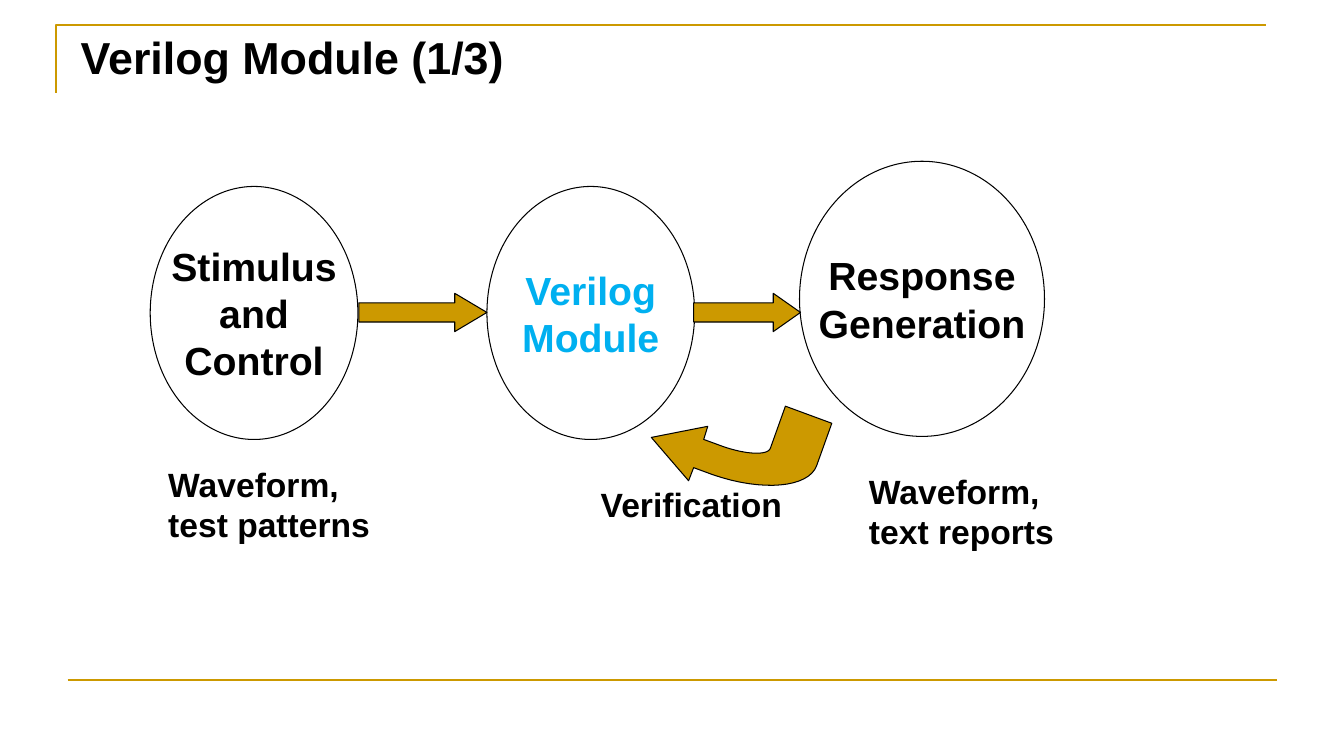
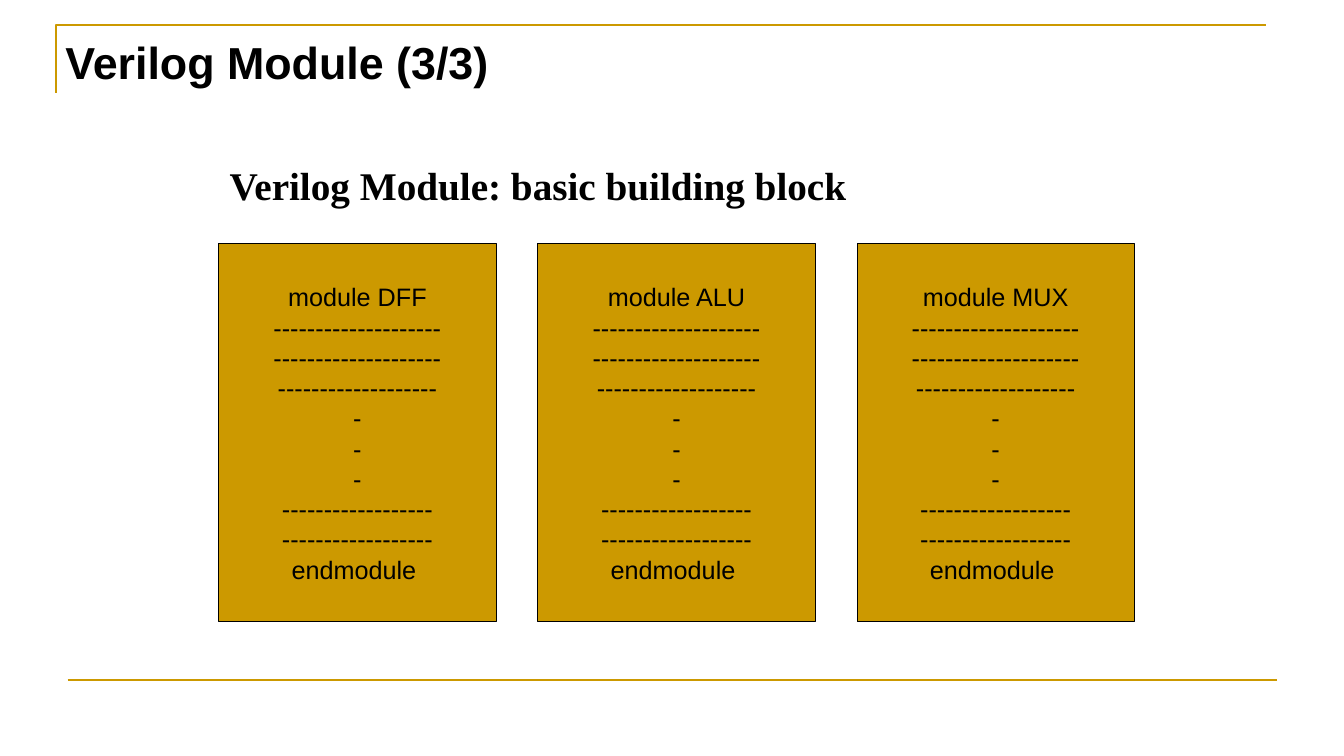
from dataclasses import dataclass

from lxml.etree import SubElement
from pptx import Presentation
from pptx.dml.color import RGBColor
from pptx.enum.shapes import MSO_CONNECTOR, MSO_SHAPE
from pptx.enum.text import MSO_ANCHOR, MSO_AUTO_SIZE, PP_ALIGN
from pptx.oxml.ns import qn
from pptx.presentation import Presentation as Deck
from pptx.shapes.autoshape import Shape
from pptx.slide import Slide
from pptx.text.text import TextFrame
from pptx.util import Inches, Pt

GOLD = "CC9900"
BLACK = "000000"
WHITE = "FFFFFF"
SKY = "00B0F0"
SANS = "Arial"
SERIF = "Times New Roman"

Point = tuple[float, float]


@dataclass(frozen=True)
class Box:
    left: float
    top: float
    width: float
    height: float

    def lengths(self) -> list[int]:
        return [Inches(value) for value in (self.left, self.top, self.width, self.height)]


@dataclass(frozen=True)
class TextStyle:
    size: int
    bold: bool = True
    color: str = BLACK
    font: str = SANS
    align: PP_ALIGN = PP_ALIGN.LEFT


@dataclass(frozen=True)
class Stage:
    box: Box
    lines: list[str]
    color: str = BLACK


@dataclass(frozen=True)
class FlowArrow:
    box: Box
    head: float


@dataclass(frozen=True)
class Label:
    box: Box
    lines: list[str]
    style: TextStyle = TextStyle(24)


STAGES = [
    Stage(Box(1.49, 1.85, 2.06, 2.51), ["Stimulus", "and", "Control"]),
    Stage(Box(4.83, 1.85, 2.06, 2.51), ["Verilog", "Module"], SKY),
    Stage(Box(7.93, 1.6, 2.43, 2.73), ["Response", "Generation"]),
]
FLOW_ARROWS = [
    FlowArrow(Box(3.56, 2.91, 1.27, 0.38), 0.84),
    FlowArrow(Box(6.88, 2.91, 1.06, 0.38), 0.71),
]
LABELS = [
    Label(Box(1.57, 4.55, 2.22, 0.91), ["Waveform,", "test patterns"]),
    Label(Box(8.52, 4.62, 2.05, 0.91), ["Waveform,", "text reports"]),
    Label(Box(5.86, 4.75, 2.02, 0.5), ["Verification"]),
]
HEADING = Label(
    Box(2.18, 1.55, 9.15, 0.55),
    ["Verilog Module: basic building block"],
    TextStyle(28, font=SERIF),
)
MODULES = ["DFF", "ALU", "MUX"]
MODULE_BODY = ["-" * count for count in (20, 20, 19, 1, 1, 1, 18, 18)]


def rgb(color: str) -> RGBColor:
    return RGBColor.from_string(color)


def write(frame: TextFrame, lines: list[str], style: TextStyle) -> None:
    frame.text = "\n".join(lines)
    for para in frame.paragraphs:
        para.alignment = style.align
        para.font.name = style.font
        para.font.size = Pt(style.size)
        para.font.bold = style.bold
        para.font.color.rgb = rgb(style.color)


def outline(shape: Shape, fill: str | None, line: str = BLACK, weight: float = 0.75) -> None:
    shape.shadow.inherit = False
    if fill is None:
        shape.fill.background()
    else:
        shape.fill.solid()
        shape.fill.fore_color.rgb = rgb(fill)
    shape.line.color.rgb = rgb(line)
    shape.line.width = Pt(weight)


def add_preset(page: Slide, preset: MSO_SHAPE, box: Box, fill: str) -> Shape:
    shape = page.shapes.add_shape(preset, *box.lengths())
    outline(shape, fill)
    return shape


def add_captioned(page: Slide, preset: MSO_SHAPE, box: Box, fill: str,
                  lines: list[str], style: TextStyle) -> None:
    frame = add_preset(page, preset, box, fill).text_frame
    frame.word_wrap = False
    frame.vertical_anchor = MSO_ANCHOR.MIDDLE
    write(frame, lines, style)


def add_label(page: Slide, label: Label) -> None:
    frame = page.shapes.add_textbox(*label.box.lengths()).text_frame
    frame.word_wrap = True
    write(frame, label.lines, label.style)


def add_outline(page: Slide, points: list[Point], closed: bool) -> Shape:
    corners = [(Inches(x), Inches(y)) for x, y in points]
    builder = page.shapes.build_freeform(*corners[0])
    builder.add_line_segments(corners[1:], close=closed)
    return builder.convert_to_shape()


def curve(start: Point, first: Point, second: Point, end: Point, steps: int = 16) -> list[Point]:
    points = []
    for step in range(steps + 1):
        t = step / steps
        weights = ((1 - t) ** 3, 3 * t * (1 - t) ** 2, 3 * t ** 2 * (1 - t), t ** 3)
        controls = (start, first, second, end)
        points.append((
            sum(weight * x for weight, (x, _) in zip(weights, controls)),
            sum(weight * y for weight, (_, y) in zip(weights, controls)),
        ))
    return points


def add_page(deck: Deck, title: str, box: Box, anchor: MSO_ANCHOR, align: PP_ALIGN) -> Slide:
    page = deck.slides.add_slide(deck.slide_layouts[5])
    corner = add_outline(page, [(0.56, 0.92), (0.56, 0.25), (12.56, 0.25)], closed=False)
    outline(corner, None, GOLD, 1.5)
    rule = page.shapes.add_connector(
        MSO_CONNECTOR.STRAIGHT, Inches(0.67), Inches(6.75), Inches(12.67), Inches(6.75))
    rule.line.color.rgb = rgb(GOLD)
    rule.line.width = Pt(1.5)
    SubElement(rule._element.spPr, qn("a:effectLst"))

    holder = page.shapes.title
    holder.left, holder.top, holder.width, holder.height = box.lengths()
    frame = holder.text_frame
    frame.word_wrap = True
    frame.auto_size = MSO_AUTO_SIZE.NONE
    frame.vertical_anchor = anchor
    write(frame, [title], TextStyle(32, align=align))
    return page


def add_return_arrow(page: Slide) -> None:
    points = [
        (6.46, 4.34), (6.83, 4.77), (6.88, 4.64),
        *curve((7.07, 4.71), (7.56, 4.88), (8.02, 4.84), (8.1, 4.62)),
        (8.25, 4.2), (7.79, 4.03),
        *curve((7.64, 4.45), (7.61, 4.52), (7.4, 4.51), (7.17, 4.43)),
        (6.98, 4.36), (7.02, 4.23),
    ]
    outline(add_outline(page, points, closed=True), GOLD)


def build_flow_page(deck: Deck) -> None:
    page = add_page(deck, "Verilog Module (1/3)", Box(0.7, 0.24, 8.6, 1.1),
                    MSO_ANCHOR.TOP, PP_ALIGN.LEFT)
    for stage in STAGES:
        style = TextStyle(28, color=stage.color, align=PP_ALIGN.CENTER)
        add_captioned(page, MSO_SHAPE.OVAL, stage.box, WHITE, stage.lines, style)
    for arrow in FLOW_ARROWS:
        shape = add_preset(page, MSO_SHAPE.RIGHT_ARROW, arrow.box, GOLD)
        shape.adjustments[0] = 0.5
        shape.adjustments[1] = arrow.head
    add_return_arrow(page)
    for label in LABELS:
        add_label(page, label)


def build_blocks_page(deck: Deck) -> None:
    page = add_page(deck, "Verilog Module (3/3)", Box(-1.55, -0.17, 8.6, 1.1),
                    MSO_ANCHOR.BOTTOM, PP_ALIGN.CENTER)
    add_label(page, HEADING)
    style = TextStyle(18, bold=False, align=PP_ALIGN.CENTER)
    width, gap = 2.75, 0.415
    for index, name in enumerate(MODULES):
        box = Box(2.17 + index * (width + gap), 2.42, width, 3.75)
        lines = [f"module {name}", *MODULE_BODY, "endmodule "]
        add_captioned(page, MSO_SHAPE.RECTANGLE, box, GOLD, lines, style)


def main() -> None:
    deck = Presentation()
    deck.slide_width = Inches(13.33)
    deck.slide_height = Inches(7.5)
    build_flow_page(deck)
    build_blocks_page(deck)
    deck.save("out.pptx")


if __name__ == "__main__":
    main()
